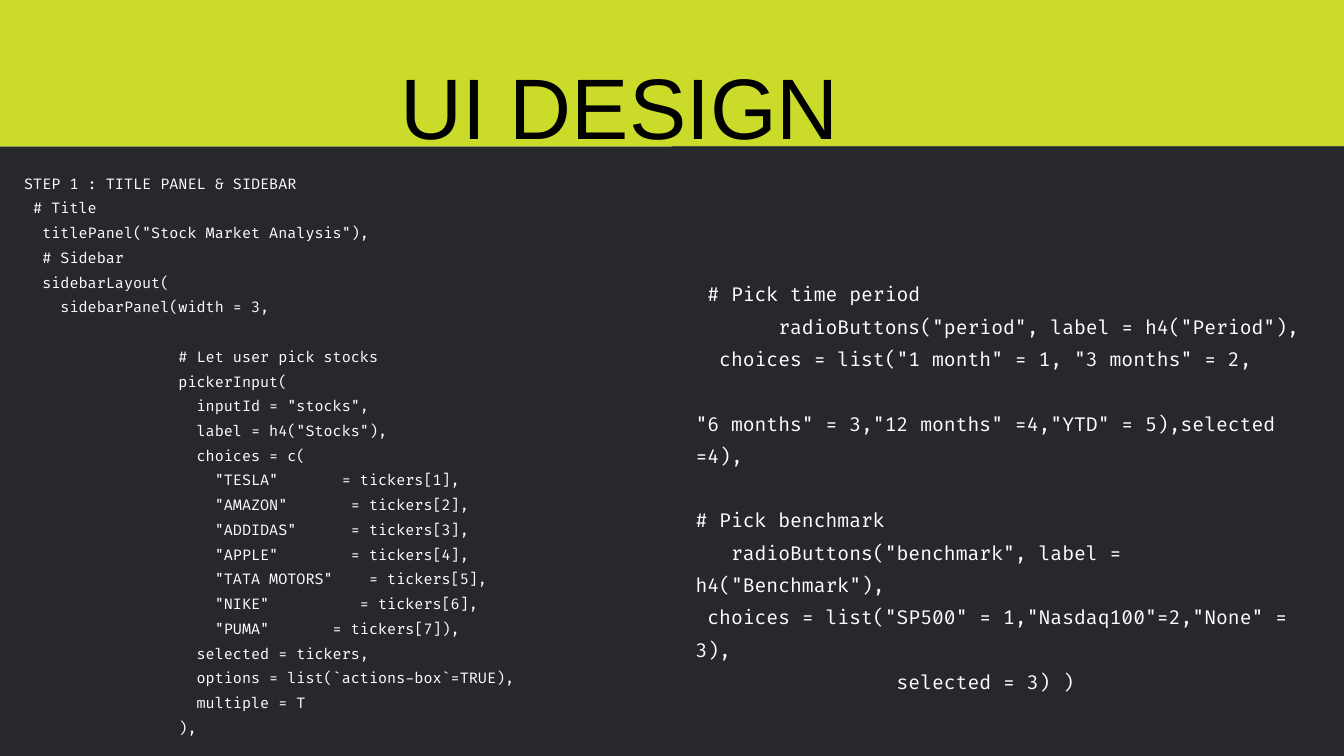
"""Build the UI design slide with its two code listings."""
from pptx import Presentation
from pptx.dml.color import RGBColor
from pptx.enum.shapes import MSO_SHAPE as Shape
from pptx.enum.text import MSO_ANCHOR as Anchor, PP_ALIGN as Align
from pptx.util import Inches, Pt

DARK, LIME, WHITE, BLACK = "26282C", "CBDB2A", "FFFFFF", "000000"
BAND_HEIGHT = 2.18

LAYOUT_CODE = '''STEP 1 : TITLE PANEL & SIDEBAR
 # Title
  titlePanel("Stock Market Analysis"),
  # Sidebar
  sidebarLayout(
    sidebarPanel(width = 3,
'''

PICKER_CODE = '''                 # Let user pick stocks
                 pickerInput(
                   inputId = "stocks",
                   label = h4("Stocks"),
                   choices = c('''

TICKER_CODE = '''                     "TESLA"       = tickers[1],
                     "AMAZON"       = tickers[2],
                     "ADDIDAS"      = tickers[3],
                     "APPLE"        = tickers[4],
                     "TATA MOTORS"    = tickers[5],
                     "NIKE"          = tickers[6],
                     "PUMA"       = tickers[7]),
                   selected = tickers,
                   options = list(`actions-box`=TRUE),
                   multiple = T
                 ),'''

OPTIONS_CODE = ''' # Pick time period
       radioButtons("period", label = h4("Period"),
  choices = list("1 month" = 1, "3 months" = 2,

"6 months" = 3,"12 months" =4,"YTD" = 5),selected =4),

# Pick benchmark
   radioButtons("benchmark", label = h4("Benchmark"),
 choices = list("SP500" = 1,"Nasdaq100"=2,"None" = 3),
                 selected = 3) )'''


def color(value):
    return RGBColor.from_string(value)


def write(frame, text, size, font="Fira Code", fill=WHITE, align=Align.LEFT, gap=0):
    """Write one paragraph per line; an empty line becomes space before the next."""
    paragraph, space = None, 0
    for line in text.split("\n"):
        if not line:
            space = gap
            continue
        paragraph = frame.add_paragraph() if paragraph else frame.paragraphs[0]
        paragraph.alignment = align
        paragraph.line_spacing = 1.4
        paragraph.space_before = Pt(space)
        run = paragraph.add_run()
        run.text = line
        run.font.name, run.font.size = font, Pt(size)
        run.font.color.rgb = color(fill)
        space = 0


class Canvas:
    """Hold the style and the current slide."""

    def __init__(self, presentation):
        self.slide = presentation.slides.add_slide(presentation.slide_layouts[6])

    def panel(self, left, top, width, height, fill):
        shape = self.slide.shapes.add_shape(
            Shape.RECTANGLE, *map(Inches, (left, top, width, height)))
        shape.shadow.inherit = False
        shape.fill.solid()
        shape.fill.fore_color.rgb = color(fill)
        shape.line.fill.background()

    def text(self, left, top, width, height, text, **style):
        box = self.slide.shapes.add_textbox(*map(Inches, (left, top, width, height)))
        frame = box.text_frame
        frame.word_wrap = True
        frame.vertical_anchor = Anchor.TOP
        frame.margin_left = frame.margin_right = 0
        frame.margin_top = frame.margin_bottom = 0
        write(frame, text, **style)


def main():
    presentation = Presentation()
    presentation.slide_width, presentation.slide_height = Inches(20), Inches(11.25)
    canvas = Canvas(presentation)
    body_height = 11.25 - BAND_HEIGHT
    sidebar_code = "\n".join((LAYOUT_CODE, PICKER_CODE, TICKER_CODE))

    canvas.panel(0, BAND_HEIGHT, 20, body_height, DARK)
    canvas.panel(0, 0, 20, BAND_HEIGHT, LIME)
    canvas.text(0.36, 2.49, 8.92, 8.5, sidebar_code, size=15.8, gap=26.5)
    canvas.text(5.58, 0.19, 7.29, 1.55, "UI DESIGN", size=92, font="Arial",
                fill=BLACK, align=Align.CENTER)
    canvas.panel(10, BAND_HEIGHT, 10, body_height, DARK)
    canvas.text(10.35, 4.07, 9.31, 6.3, OPTIONS_CODE, size=20.6, gap=34.6)
    presentation.save("out.pptx")


if __name__ == "__main__":
    main()
